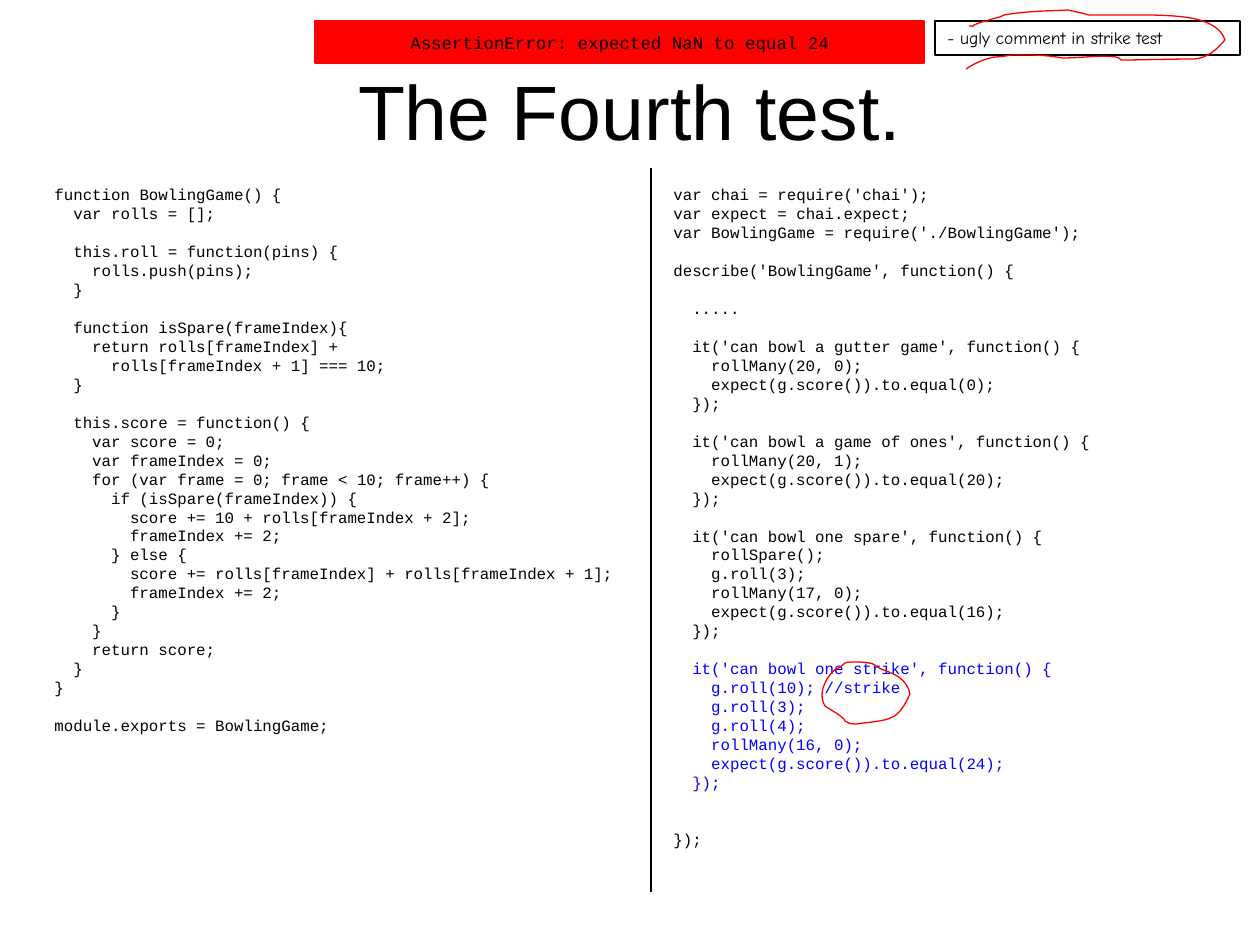
from lxml.etree import SubElement
from pptx import Presentation
from pptx.dml.color import RGBColor
from pptx.enum.shapes import MSO_CONNECTOR, MSO_SHAPE
from pptx.enum.text import MSO_ANCHOR, PP_ALIGN
from pptx.oxml.ns import qn
from pptx.util import Inches, Pt

BLACK = RGBColor(0, 0, 0)
BLUE = RGBColor(0, 0, 255)
RED = RGBColor(255, 0, 0)
CODE_FONT = "Courier New"
CODE_SIZE = Pt(9)
LINE_HEIGHT = Pt(10.83)
CHARACTER_WIDTH = Pt(5.4)

TITLE = "The Fourth test."
ERROR = "AssertionError: expected NaN to equal 24"
REMARK = "- ugly comment in strike test"

GAME_CODE = """\
function BowlingGame() {
  var rolls = [];

  this.roll = function(pins) {
    rolls.push(pins);
  }

  function isSpare(frameIndex){
    return rolls[frameIndex] +
      rolls[frameIndex + 1] === 10;
  }

  this.score = function() {
    var score = 0;
    var frameIndex = 0;
    for (var frame = 0; frame < 10; frame++) {
      if (isSpare(frameIndex)) {
        score += 10 + rolls[frameIndex + 2];
        frameIndex += 2;
      } else {
        score += rolls[frameIndex] + rolls[frameIndex + 1];
        frameIndex += 2;
      }
    }
    return score;
  }
}

module.exports = BowlingGame;"""

TEST_CODE = """\
var chai = require('chai');
var expect = chai.expect;
var BowlingGame = require('./BowlingGame');

describe('BowlingGame', function() {

  .....

  it('can bowl a gutter game', function() {
    rollMany(20, 0);
    expect(g.score()).to.equal(0);
  });

  it('can bowl a game of ones', function() {
    rollMany(20, 1);
    expect(g.score()).to.equal(20);
  });

  it('can bowl one spare', function() {
    rollSpare();
    g.roll(3);
    rollMany(17, 0);
    expect(g.score()).to.equal(16);
  });
"""

STRIKE_CODE = """
  it('can bowl one strike', function() {
    g.roll(10); //strike
    g.roll(3);
    g.roll(4);
    rollMany(16, 0);
    expect(g.score()).to.equal(24);
  });
"""

CLOSING_CODE = """

});"""

CODE_PANELS = [
    ((42, 179, 608, 562), [(GAME_CODE, BLACK)]),
    ((661, 179, 557, 677), [(TEST_CODE, BLACK), (STRIKE_CODE, BLUE), (CLOSING_CODE, BLACK)]),
]

STRIKE_CIRCLE = [
    (910, 694),
    (907, 701), (901, 713), (893, 717),
    (883, 722), (869, 722), (857, 724),
    (853, 724), (849, 724), (847, 722),
    (845, 722), (845, 721), (844, 719),
    (839, 714), (832, 711), (825, 706),
    (819, 696), (823, 684), (830, 675),
    (833, 672), (834, 669), (839, 668),
    (847, 662), (843, 663), (851, 662),
    (857, 662), (863, 662), (869, 663),
    (874, 663), (876, 667), (881, 669),
    (895, 674), (907, 679), (910, 694),
]
REMARK_LOOP = [
    (966, 69),
    (975, 63), (984, 59), (995, 57),
    (1000, 57), (1012, 55), (1012, 55),
    (1037, 55), (1045, 55), (1063, 58),
    (1080, 58), (1100, 55), (1116, 57),
    (1118, 58), (1119, 58), (1119, 58),
    (1120, 59), (1120, 60), (1121, 60),
    (1145, 60), (1171, 59), (1194, 59),
    (1208, 58), (1216, 50), (1225, 40),
    (1217, 15), (1172, 16), (1153, 15),
    (1131, 15), (1110, 15), (1089, 15),
    (1074, 11), (1081, 13), (1068, 10),
    (1046, 11), (1027, 11), (1004, 15),
    (999, 18), (994, 18), (989, 20),
    (984, 25), (992, 18), (979, 23),
    (966, 28), (979, 26), (969, 26),
]


def px(*lengths):
    return [round(length * Inches(1) / 126) for length in lengths]


def add_run(paragraph, text, font_name, size, color=BLACK):
    run = paragraph.add_run()
    run.text = text
    run.font.name = font_name
    run.font.size = size
    run.font.color.rgb = color


def add_code(slide, box, sections):
    frame = slide.shapes.add_textbox(*px(*box)).text_frame
    frame.word_wrap = True
    lines = [(line, color) for code, color in sections for line in code.splitlines()]
    paragraph, blank_lines = frame.paragraphs[0], 0
    for index, (line, color) in enumerate(lines):
        if not line:
            blank_lines += 1
            continue
        if index:
            paragraph = frame.add_paragraph()
        text = line.lstrip()
        indent = len(line) - len(text)
        paragraph.line_spacing = LINE_HEIGHT
        paragraph.space_before = Pt(LINE_HEIGHT.pt * blank_lines)
        paragraph._p.get_or_add_pPr().set("marL", str(indent * CHARACTER_WIDTH))
        add_run(paragraph, text, CODE_FONT, CODE_SIZE, color)
        blank_lines = 0


def add_box(slide, box, text, font_name, line_color):
    shape = slide.shapes.add_shape(MSO_SHAPE.RECTANGLE, *px(*box))
    shape.shadow.inherit = False
    shape.fill.background()
    shape.line.color.rgb = line_color
    shape.line.width = Pt(0.75)
    shape.text_frame.vertical_anchor = MSO_ANCHOR.TOP
    paragraph = shape.text_frame.paragraphs[0]
    paragraph.alignment = PP_ALIGN.LEFT
    add_run(paragraph, text, font_name, Pt(10))
    return shape


def add_scribble(slide, knots):
    builder = slide.shapes.build_freeform(*px(*knots[0]))
    builder.add_line_segments([px(*knot) for knot in knots[1:]], close=knots[0] == knots[-1])
    scribble = builder.convert_to_shape()
    segments = list(scribble._element.iter(qn("a:lnTo")))
    for start in range(0, len(segments), 3):
        curve = segments[start]
        curve.tag = qn("a:cubicBezTo")
        for segment in segments[start + 1:start + 3]:
            curve.append(segment[0])
            segment.getparent().remove(segment)
    scribble.shadow.inherit = False
    scribble.fill.background()
    scribble.line.color.rgb = RED
    scribble.line.width = Pt(0.75)


presentation = Presentation()
presentation.slide_width, presentation.slide_height = Inches(10), Inches(7.5)
slide = presentation.slides.add_slide(presentation.slide_layouts[5])

title = slide.shapes.title
title.left, title.top, title.width, title.height = px(63, 31, 1134, 157)
title.text_frame.vertical_anchor = MSO_ANCHOR.MIDDLE
title.text_frame.paragraphs[0].alignment = PP_ALIGN.CENTER
add_run(title.text_frame.paragraphs[0], TITLE, "Arial", Pt(44))

for box, sections in CODE_PANELS:
    add_code(slide, box, sections)

divider = slide.shapes.add_connector(MSO_CONNECTOR.STRAIGHT, *px(651, 168, 651, 892))
divider.line.color.rgb = BLACK
divider.line.width = Pt(0.75)
SubElement(divider._element.spPr, qn("a:effectLst"))

add_box(slide, (935, 21, 305, 34), REMARK, "Comic Neue", BLACK)

error_bar = add_box(slide, (315, 21, 609, 42), ERROR, CODE_FONT, RED)
error_bar.fill.solid()
error_bar.fill.fore_color.rgb = RED
error_bar.text_frame.word_wrap = False
error_bar.text_frame.vertical_anchor = MSO_ANCHOR.MIDDLE
error_bar.text_frame.paragraphs[0].alignment = PP_ALIGN.CENTER

for knots in (STRIKE_CIRCLE, REMARK_LOOP):
    add_scribble(slide, knots)

presentation.save("out.pptx")
